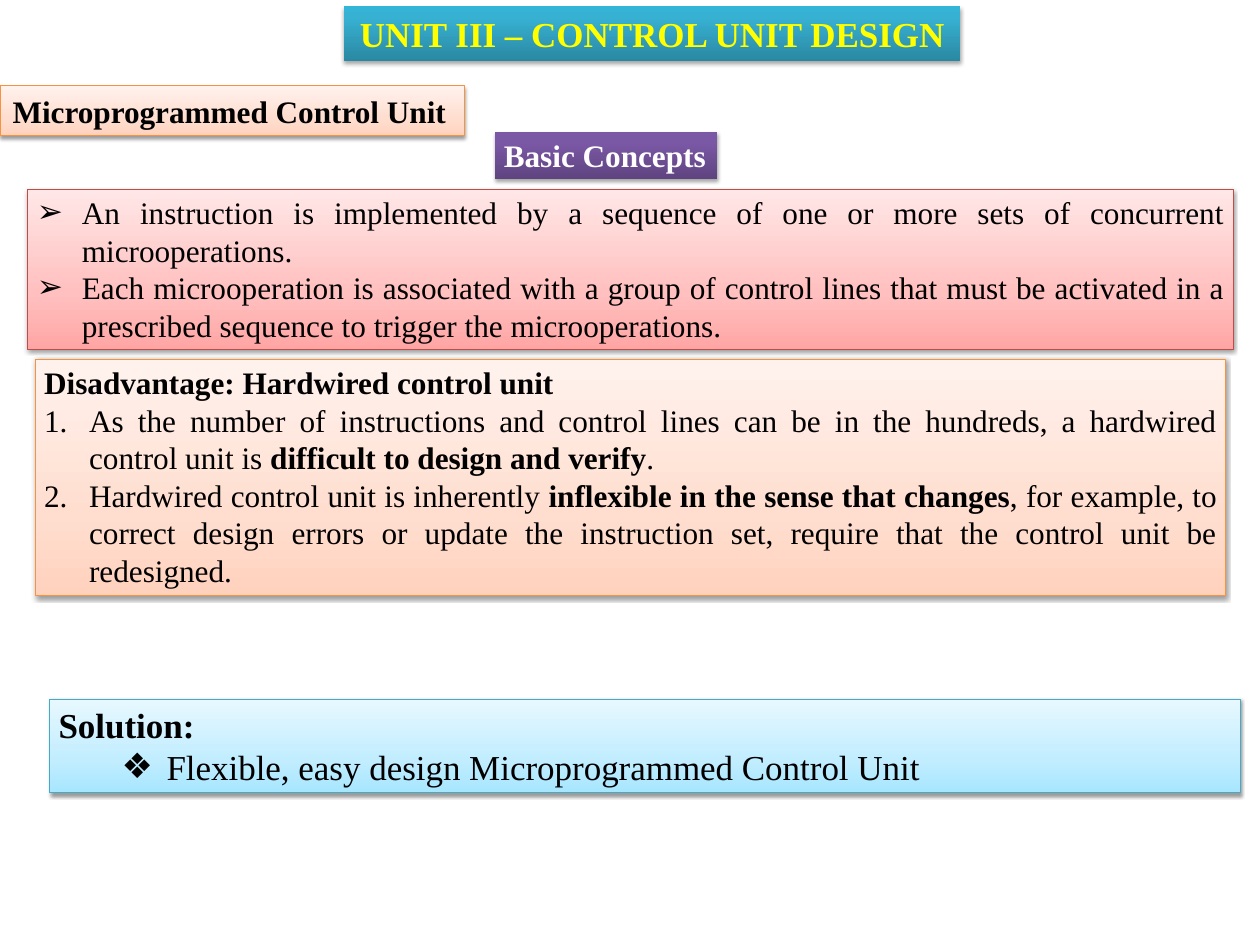
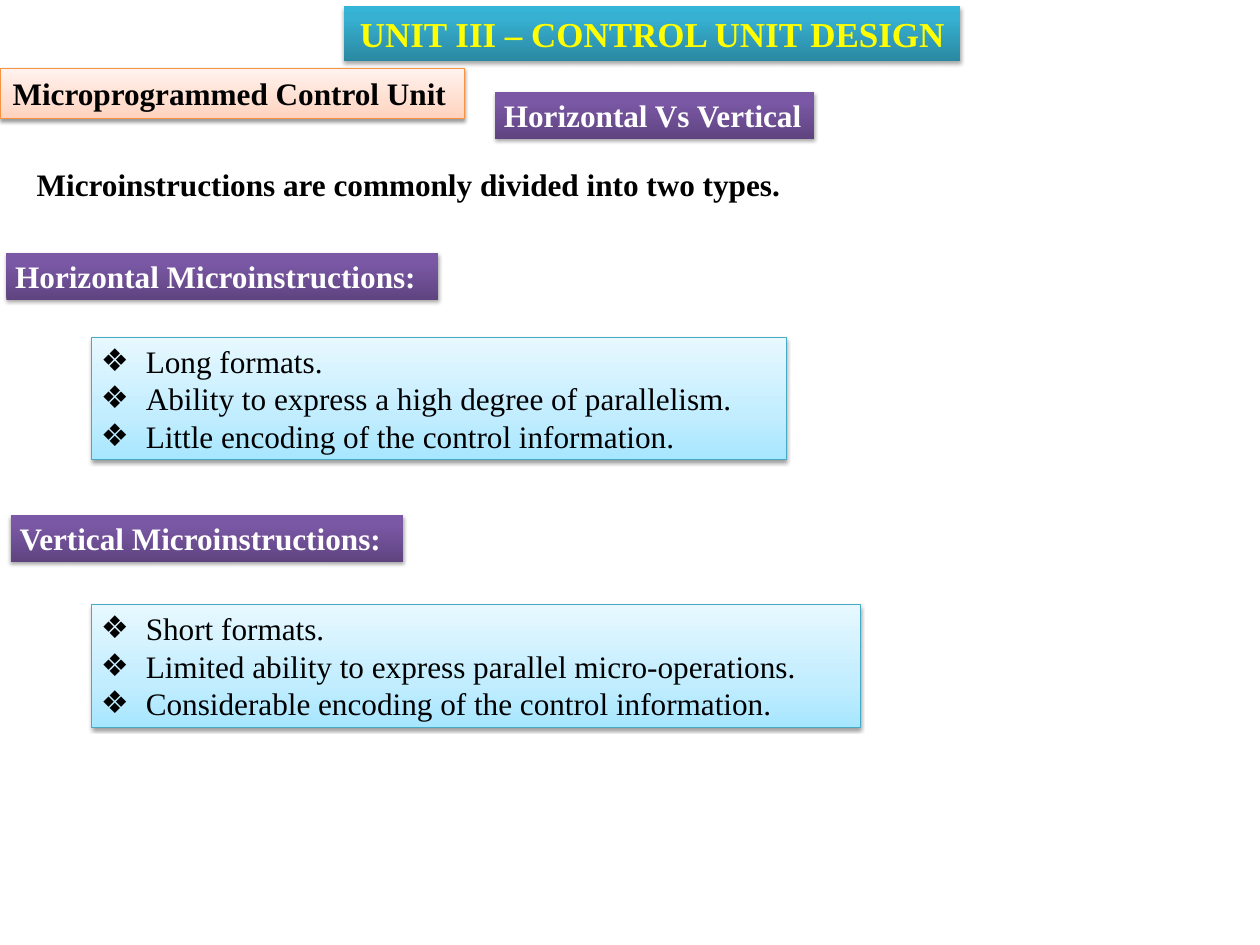
from dataclasses import dataclass
from copy import deepcopy
from typing import Optional

from pptx import Presentation
from pptx import util as u
from pptx.dml import color
from pptx.enum import shapes, text
from pptx.oxml import ns, xmlchemy

PX = 9144
FONT = "Times New Roman"
BLACK, WHITE, YELLOW = "000000", "FFFFFF", "FFFF00"
LEFT, CENTER, JUSTIFY = text.PP_ALIGN.LEFT, text.PP_ALIGN.CENTER, text.PP_ALIGN.JUSTIFY
HANG = 50
ARROW, DIAMOND, NUMBER = "➢", "❖", "1."


@dataclass(frozen=True)
class Theme:
    stops: tuple[tuple[int, str], ...]
    line: Optional[str] = None
    ink: str = BLACK


@dataclass(frozen=True)
class Item:
    text: str
    bullet: str = ""
    indent: int = HANG


@dataclass(frozen=True)
class Panel:
    at: tuple[int, int, int, int]
    theme: Theme
    items: tuple[Item, ...]
    size: int = 25


@dataclass(frozen=True)
class Label:
    at: tuple[int, int, int, int]
    text: str
    theme: Theme
    align: text.PP_ALIGN = LEFT
    inset: tuple[int, int] = (10, 5)
    size: int = 25


def soft(dark: str, middle: str, light: str, line: str) -> Theme:
    return Theme(((0, dark), (35, middle), (100, light)), line)


def strong(dark: str, middle: str, light: str, ink: str) -> Theme:
    return Theme(((0, dark), (80, middle), (100, light)), None, ink)


ORANGE = soft("FFD2BD", "FFDED0", "FFF2ED", "F69240")
RED = soft("FFA6A5", "FFC0BF", "FFE7E7", "BF4C48")
BLUE = soft("A7E6FF", "C1EDFF", "E7F8FF", "46AAC5")
TEAL = strong("2A88A2", "37B1D2", "34B4D6", YELLOW)
PURPLE = strong("5F4480", "7B58A6", "7C57A8", WHITE)

UNIT_TITLE = Label((382, 7, 685, 61), "UNIT III – CONTROL UNIT DESIGN", TEAL, CENTER, (14, 7), 28)


def px(n: int) -> u.Emu:
    return u.Emu(n * PX)


def rgb(value: str) -> color.RGBColor:
    return color.RGBColor.from_string(value)


def child(parent, tag: str, **attrs):
    node = xmlchemy.OxmlElement(tag)
    for name, value in attrs.items():
        node.set(name, str(value))
    parent.append(node)
    return node


def place(sp, at: tuple[int, int, int, int]) -> None:
    sp.left, sp.top, sp.width, sp.height = map(px, at)


def paint(sp, theme: Theme) -> None:
    sp.fill.gradient()
    sp.fill.gradient_angle = 90
    stop_list = sp._element.find(".//" + ns.qn("a:gsLst"))
    stop_list.append(deepcopy(stop_list[0]))
    for stop, (position, value) in zip(sp.fill.gradient_stops, theme.stops):
        stop.position = position / 100
        stop.color.rgb = rgb(value)
    if theme.line:
        sp.line.color.rgb = rgb(theme.line)
        sp.line.width = u.Pt(0.75)
    else:
        sp.line.fill.background()
    sp.shadow.inherit = False
    effects = sp._element.spPr.find(ns.qn("a:effectLst"))
    distance, alpha = (20000, 38000) if theme.line else (23000, 35000)
    shadow = child(effects, "a:outerShdw", blurRad=40000, dist=distance, dir=5400000, rotWithShape=0)
    child(child(shadow, "a:srgbClr", val=BLACK), "a:alpha", val=alpha)


def set_frame(sp, wrap: bool, inset: tuple[int, int] = (10, 5)) -> None:
    tf = sp.text_frame
    tf.word_wrap = wrap
    fit = text.MSO_AUTO_SIZE
    tf.auto_size = fit.NONE if sp.is_placeholder else fit.SHAPE_TO_FIT_TEXT
    tf.vertical_anchor = text.MSO_ANCHOR.TOP
    tf.margin_left = tf.margin_right = px(inset[0])
    tf.margin_top = tf.margin_bottom = px(inset[1])


def style_run(r, size: int, ink: str, bold: bool) -> None:
    r.font.name = FONT
    r.font.size = u.Pt(size)
    r.font.bold = bold
    r.font.color.rgb = rgb(ink)


def write_line(tf, words: str, size: int, ink: str, align: text.PP_ALIGN) -> None:
    tf.text = words
    p = tf.paragraphs[0]
    p.alignment = align
    style_run(p.runs[0], size, ink, True)


def set_bullet(p, item: Item) -> None:
    ppr = p._p.get_or_add_pPr()
    ppr.set("marL", str(px(item.indent)))
    ppr.set("indent", str(px(-HANG)))
    if item.bullet == NUMBER:
        child(ppr, "a:buAutoNum", type="arabicPeriod")
    elif item.bullet:
        child(ppr, "a:buChar", char=item.bullet)
    else:
        child(ppr, "a:buNone")


def draw_label(sp, label: Label) -> None:
    place(sp, label.at)
    paint(sp, label.theme)
    set_frame(sp, False, label.inset)
    write_line(sp.text_frame, label.text, label.size, label.theme.ink, label.align)


def draw_panel(sp, panel: Panel) -> None:
    place(sp, panel.at)
    paint(sp, panel.theme)
    set_frame(sp, True)
    tf = sp.text_frame
    for i, item in enumerate(panel.items):
        p = tf.paragraphs[0] if i == 0 else tf.add_paragraph()
        set_bullet(p, item)
        p.level = 1 if item.indent > HANG else 0
        p.alignment = JUSTIFY
        p.space_before = u.Pt(0)
        for part, words in enumerate(item.text.split("*")):
            if words:
                r = p.add_run()
                r.text = words
                style_run(r, panel.size, panel.theme.ink, part % 2 == 1)


def chapter(top: int) -> Label:
    return Label((0, top, 516, 56), "Microprogrammed Control Unit", ORANGE, inset=(14, 7))


def add_slide(prs, layout: int, labels: list[Label], panels: list[Panel]):
    s = prs.slides.add_slide(prs.slide_layouts[layout])
    draw_label(s.shapes.title, UNIT_TITLE)
    bodies = [sp for sp in s.placeholders if sp.placeholder_format.idx > 0]
    for sp, panel in zip(bodies, panels):
        draw_panel(sp, panel)
    for sp in bodies[len(panels):]:
        sp._element.getparent().remove(sp._element)
    for label in labels:
        sp = s.shapes.add_shape(shapes.MSO_SHAPE.RECTANGLE, *map(px, label.at))
        draw_label(sp, label)
    return s


def diamonds(*lines: str) -> tuple[Item, ...]:
    return tuple(Item(line, DIAMOND) for line in lines)


def basic_concepts(prs) -> None:
    concepts = (
        Item("An instruction is implemented by a sequence of one or more sets of "
             "concurrent microoperations.", ARROW),
        Item("Each microoperation is associated with a group of control lines that must be "
             "activated in a prescribed sequence to trigger the microoperations.", ARROW),
    )
    disadvantages = (
        Item("*Disadvantage: Hardwired control unit*"),
        Item("As the number of instructions and control lines can be in the hundreds, a "
             "hardwired control unit is *difficult to design and verify*.", NUMBER),
        Item("Hardwired control unit is inherently *inflexible in the sense that changes*, "
             "for example, to correct design errors or update the instruction set, require "
             "that the control unit be redesigned.", NUMBER),
    )
    solution = (
        Item("*Solution:*"),
        Item("Flexible, easy design Microprogrammed Control Unit", DIAMOND, 120),
    )
    add_slide(
        prs, 4,
        [chapter(95), Label((550, 147, 247, 52), "Basic Concepts", PURPLE)],
        [Panel((31, 210, 1339, 178), RED, concepts),
         Panel((39, 399, 1323, 263), ORANGE, disadvantages),
         Panel((55, 777, 1323, 104), BLUE, solution, 28)],
    )


def horizontal_vs_vertical(prs) -> None:
    horizontal = diamonds("Long formats.",
                          "Ability to express a high degree of parallelism.",
                          "Little encoding of the control information.")
    vertical = diamonds("Short formats.",
                        "Limited ability to express parallel micro-operations.",
                        "Considerable encoding of the control information.")
    s = add_slide(
        prs, 3,
        [chapter(76),
         Label((550, 102, 355, 52), "Horizontal Vs Vertical", PURPLE),
         Label((7, 281, 480, 52), "Horizontal Microinstructions: ", PURPLE, JUSTIFY),
         Label((12, 572, 436, 52), "Vertical Microinstructions: ", PURPLE, JUSTIFY)],
        [Panel((102, 375, 772, 136), BLUE, horizontal),
         Panel((102, 672, 854, 136), BLUE, vertical)],
    )
    intro = s.shapes.add_textbox(*map(px, (31, 179, 1189, 52)))
    set_frame(intro, True)
    write_line(intro.text_frame, "Microinstructions are commonly divided into two types.",
               25, BLACK, JUSTIFY)


def main() -> None:
    prs = Presentation()
    prs.slide_width, prs.slide_height = px(1400), px(1050)
    basic_concepts(prs)
    horizontal_vs_vertical(prs)
    prs.save("out.pptx")


if __name__ == "__main__":
    main()
